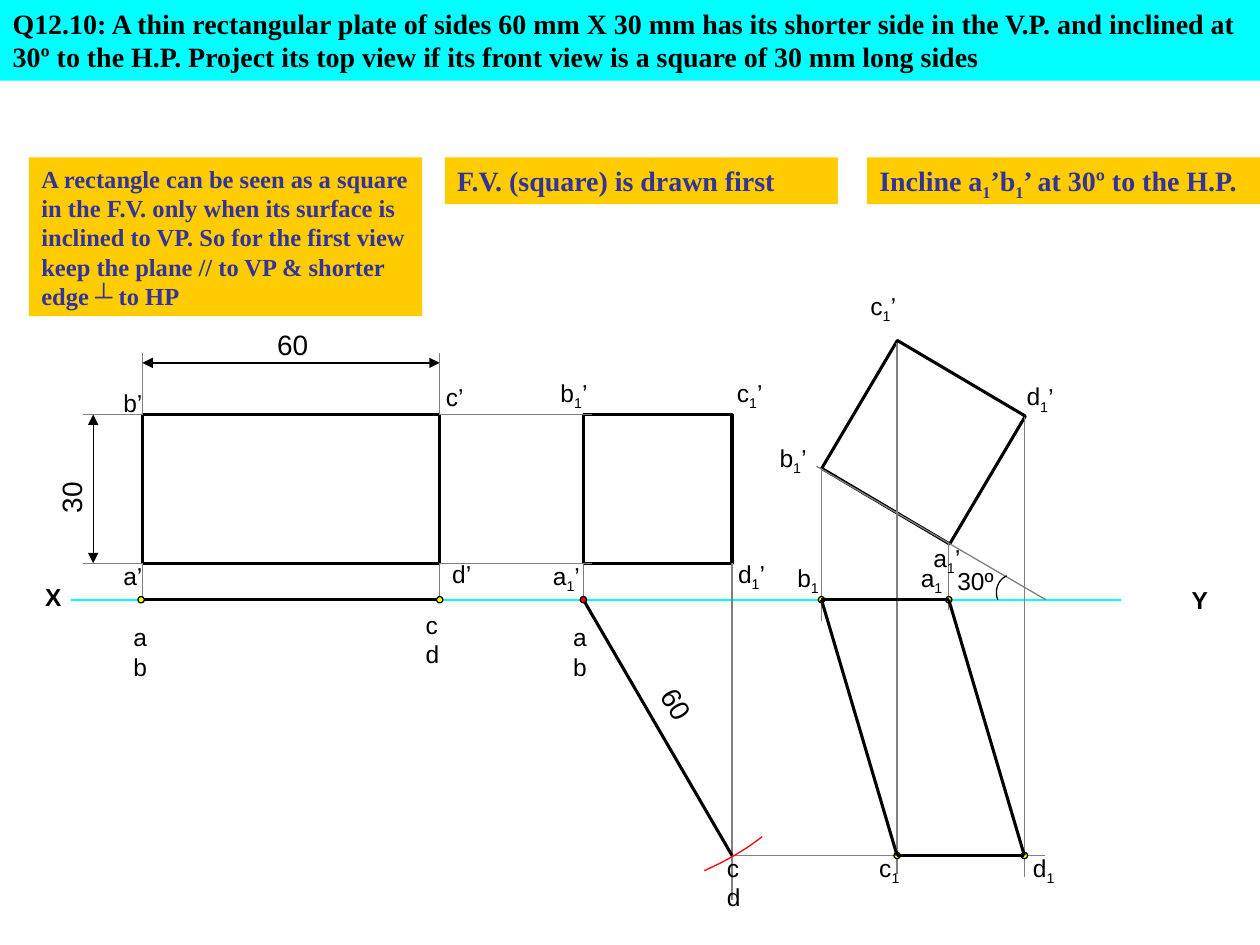
from lxml import etree
from pptx import Presentation
from pptx.dml.color import RGBColor
from pptx.enum.shapes import MSO_CONNECTOR as Connector, MSO_SHAPE as Shape
from pptx.enum.text import MSO_ANCHOR as Anchor, MSO_AUTO_SIZE as AutoSize, PP_ALIGN as Align
from pptx.oxml.ns import qn
from pptx.util import Inches, Pt

# Content; "_" puts the next character in subscript
TITLE = ("Q12.10: A thin rectangular plate of sides 60 mm X 30 mm has its shorter side "
         "in the V.P. and inclined at 30º to the H.P. Project its top view if its front "
         "view is a square of 30 mm long sides")
NOTES = [  # text, left, height, size
    ("A rectangle can be seen as a square in the F.V. only when its surface is inclined "
     "to VP. So for the first view keep the plane // to VP & shorter edge ┴ to HP",
     0.23, 1.26, 14),
    ("F.V. (square) is drawn first", 3.53, 0.37, 16),
    ("Incline a_1’b_1’ at 30º to the H.P.", 6.88, 0.37, 16),
]
COLORS = {"cyan": "00FFFF", "gold": "FFCC00", "navy": "333399", "black": "000000",
          "gray": "808080", "yellow": "FFFF00", "red": "FF0000"}
THIN, THICK = 0.75, 1.75

# Drawing grid in inches: 30 mm side, view edges, and the XY line
SIDE = 1.18
TOP, BASE, XY, FLOOR = 3.29, 4.47, 4.76, 6.79
PLATE_LEFT, PLATE_RIGHT = 1.13, 1.13 + 2 * SIDE
SQUARE_LEFT, SQUARE_RIGHT = 4.63, 4.63 + SIDE
B1, C1, A1, D1 = 6.52, 7.12, 7.53, 8.13

VIEWS = [  # left, top, width, rotation
    (PLATE_LEFT, TOP, 2 * SIDE, 0),
    (SQUARE_LEFT, TOP, SIDE, 0),
    (6.74, 2.92, SIDE, 300.6),
]
PROJECTORS = [  # x1, y1, x2, y2
    *[(PLATE_LEFT, y, 0.66, y) for y in (TOP, BASE)],
    *[(x, TOP, x, 2.8) for x in (PLATE_LEFT, PLATE_RIGHT)],
    *[(x, BASE, x, XY) for x in (PLATE_LEFT, PLATE_RIGHT, SQUARE_LEFT)],
    *[(PLATE_RIGHT, y, 4.7, y) for y in (TOP, BASE)],
    (SQUARE_RIGHT, BASE, SQUARE_RIGHT, 7.14),
    (SQUARE_RIGHT, FLOOR, 8.29, FLOOR),
    (8.3, XY, 6.48, 3.7),
    (B1, 3.72, B1, 4.93), (C1, 2.72, C1, 6.94),
    (D1, 3.31, D1, 6.96), (A1, 4.32, A1, 4.84),
]
DIMENSIONS = [(0.74, TOP, 0.74, BASE), (PLATE_LEFT, 2.88, PLATE_RIGHT, 2.88)]
EDGES = [
    (PLATE_LEFT, XY, PLATE_RIGHT, XY),
    (SQUARE_LEFT, XY, SQUARE_RIGHT, FLOOR),
    (A1, XY, B1, XY), (B1, XY, C1, FLOOR), (D1, FLOOR, C1, FLOOR), (A1, XY, D1, FLOOR),
]
TOP_VIEW_DOTS = [(B1, XY, "yellow"), (A1, XY, "yellow"),
                 (C1, FLOOR, "yellow"), (D1, FLOOR, "yellow")]
XY_DOTS = [(1.12, XY, "yellow"), (PLATE_RIGHT, XY, "yellow"), (SQUARE_LEFT, XY, "red")]
ARCS = [  # four Bezier control points, colour
    ([(6.05, 6.64), (5.91, 6.75), (5.75, 6.84), (5.59, 6.91)], "red"),
    ([(7.92, 4.76), (7.89, 4.69), (7.92, 4.6), (7.99, 4.57)], "black"),
]
LABEL_GROUPS = [  # width, height, size, bold, rotation, (text, left, top) list
    (0.42, 0.33, 14, False, 0, [("a’", 0.88, 4.4), ("b’", 0.88, 3.03),
                                ("c’", 3.44, 2.98), ("d’", 3.49, 4.39)]),
    (0.37, 0.57, 14, False, 0, [("a b", 0.96, 4.89), ("c d", 3.28, 4.79),
                                ("a b", 4.45, 4.89), ("c d", 5.67, 6.72)]),
    (0.57, 0.33, 14, False, 0, [("a_1’", 4.29, 4.4), ("b_1’", 4.35, 2.95),
                                ("c_1’", 5.75, 2.95), ("d_1’", 5.76, 4.39),
                                ("a_1", 7.21, 4.42), ("b_1", 6.23, 4.42),
                                ("c_1", 6.88, 6.72), ("d_1", 8.1, 6.72),
                                ("30º", 7.5, 4.44)]),
    (0.57, 0.33, 14, False, 0.6, [("a_1’", 7.31, 4.26), ("b_1’", 6.09, 3.47),
                                  ("c_1’", 6.81, 2.26), ("d_1’", 8.05, 2.98)]),
    (0.46, 0.33, 14, True, 0, [("X", 0.26, 4.57), ("Y", 9.36, 4.59)]),
    (0.55, 0.37, 16, False, 0, [("60", 2.1, 2.55)]),
    (0.55, 0.37, 16, False, 270, [("30", 0.29, 3.71)]),
    (0.55, 0.37, 16, False, 59.1, [("60", 5.12, 5.45)]),
]


def rgb(name):
    return RGBColor.from_string(COLORS[name])


def write(box, text, size, font="Arial", color="black", bold=False):
    frame = box.text_frame
    frame.word_wrap = True
    frame.auto_size = AutoSize.NONE
    frame.vertical_anchor = Anchor.TOP
    para = frame.paragraphs[0]
    para.alignment = Align.LEFT
    first, *rest = text.split("_")
    para.add_run().text = first
    for part in rest:
        span = para.add_run()
        span.text = part[0]
        span._r.get_or_add_rPr().set("baseline", "-25000")
        if part[1:]:
            para.add_run().text = part[1:]
    para.font.name, para.font.size, para.font.bold = font, Pt(size), bold
    para.font.color.rgb = rgb(color)


def style(shape, fill=None, line=None, width=THIN):
    shape.shadow.inherit = False
    if fill:
        shape.fill.solid()
        shape.fill.fore_color.rgb = rgb(fill)
    else:
        shape.fill.background()
    if line:
        shape.line.color.rgb = rgb(line)
        shape.line.width = Pt(width)
    else:
        shape.line.fill.background()


def add_line(page, ends, color, width=THIN, arrows=False):
    line = page.shapes.add_connector(Connector.STRAIGHT, *map(Inches, ends))
    line.line.color.rgb = rgb(color)
    line.line.width = Pt(width)
    if arrows:
        for end in ("a:headEnd", "a:tailEnd"):
            etree.SubElement(line.line._get_or_add_ln(), qn(end), type="triangle")
    etree.SubElement(line._element.spPr, qn("a:effectLst"))


def add_dots(page, dots, size=0.05):
    for x, y, color in dots:
        place = (x - size / 2, y - size / 2, size, size)
        style(page.shapes.add_shape(Shape.OVAL, *map(Inches, place)), color, "black")


def add_arc(page, controls, color, steps=16):
    points = []
    for step in range(steps + 1):
        t = step / steps
        weights = ((1 - t) ** 3, 3 * t * (1 - t) ** 2, 3 * t * t * (1 - t), t ** 3)
        points.append(tuple(Inches(sum(w * p[axis] for w, p in zip(weights, controls)))
                            for axis in (0, 1)))
    builder = page.shapes.build_freeform(*points[0])
    builder.add_line_segments(points[1:], close=False)
    style(builder.convert_to_shape(), line=color)


deck = Presentation()
deck.slide_width, deck.slide_height = Inches(10), Inches(7.5)
page = deck.slides.add_slide(deck.slide_layouts[5])

# Question and notes
title = page.shapes.title
title.left, title.top, title.width, title.height = map(Inches, (0, 0, 10, 0.64))
title.fill.solid()
title.fill.fore_color.rgb = rgb("cyan")
write(title, TITLE, 16, "Times New Roman", bold=True)
for text, left, height, size in NOTES:
    note = page.shapes.add_shape(Shape.RECTANGLE, *map(Inches, (left, 1.25, 3.12, height)))
    style(note, "gold")
    write(note, text, size, "Times New Roman", "navy", True)

# XY line, views and construction lines
add_line(page, (0.56, XY, 8.9, XY), "cyan", 1)
for left, top, width, rotation in VIEWS:
    view = page.shapes.add_shape(Shape.RECTANGLE, *map(Inches, (left, top, width, SIDE)))
    view.rotation = rotation
    style(view, line="black", width=THICK)
for ends in PROJECTORS:
    add_line(page, ends, "gray")
for ends in DIMENSIONS:
    add_line(page, ends, "black", arrows=True)
for controls, color in ARCS:
    add_arc(page, controls, color)

# Plate edges and corner points
add_dots(page, TOP_VIEW_DOTS)
for ends in EDGES:
    add_line(page, ends, "black", THICK)
add_dots(page, XY_DOTS)

# Labels
for width, height, size, bold, rotation, labels in LABEL_GROUPS:
    for text, left, top in labels:
        label = page.shapes.add_textbox(*map(Inches, (left, top, width, height)))
        label.rotation = rotation
        write(label, text, size, bold=bold)

deck.save("out.pptx")
